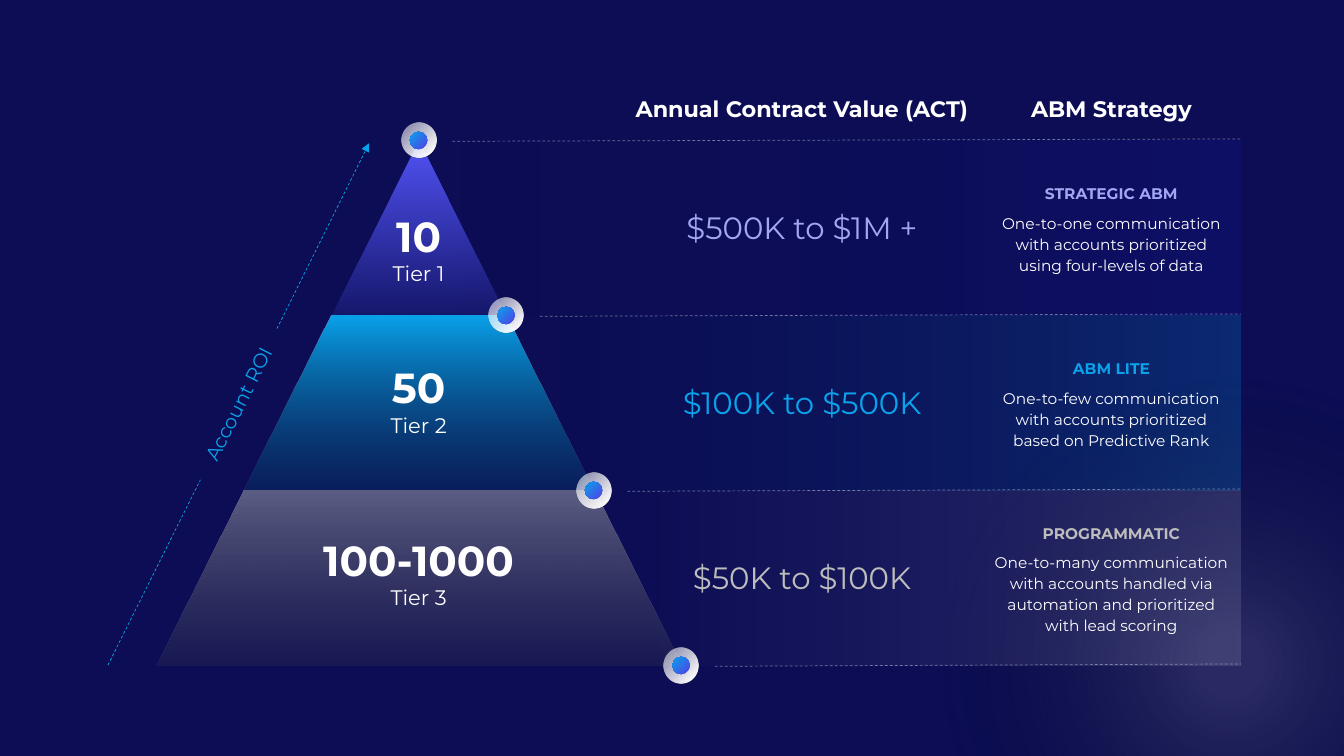
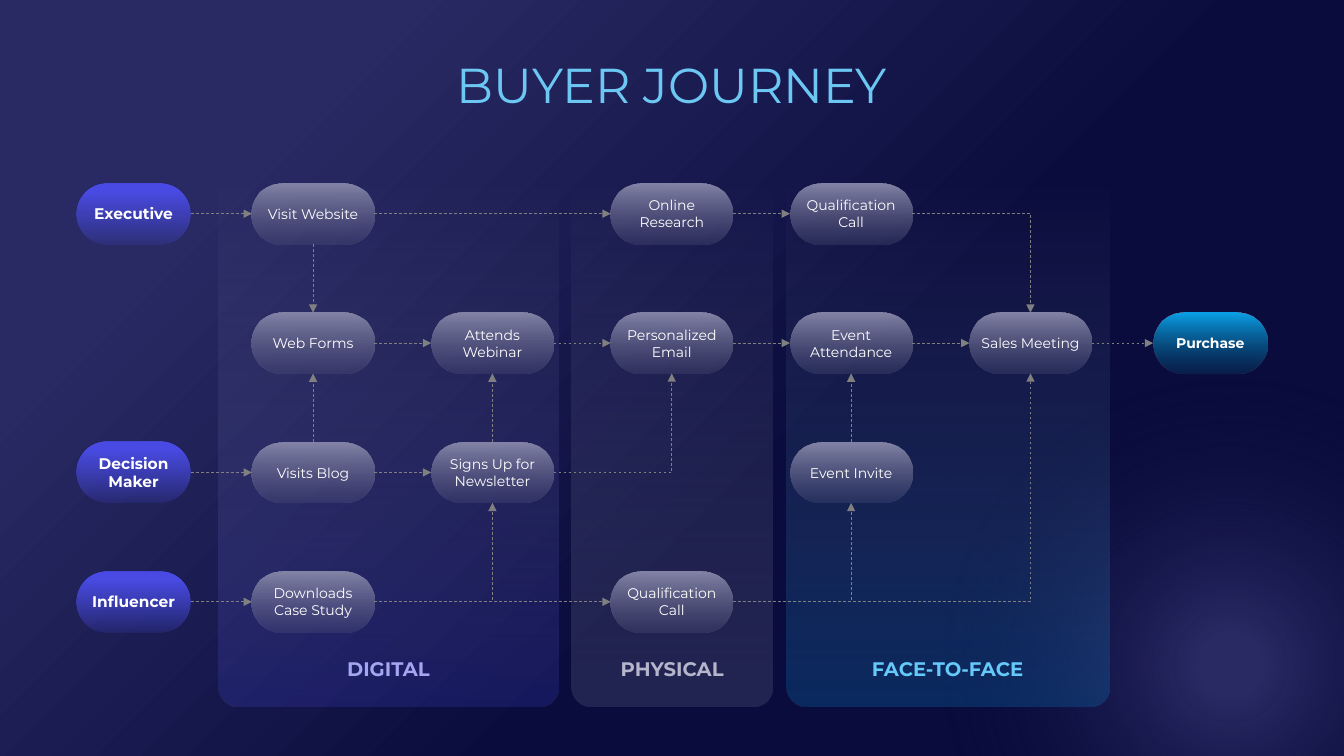
from lxml import etree
from pptx import Presentation
from pptx.dml.color import RGBColor
from pptx.enum.dml import MSO_LINE
from pptx.enum.shapes import MSO_CONNECTOR, MSO_SHAPE
from pptx.enum.text import MSO_ANCHOR, PP_ALIGN
from pptx.oxml.ns import qn
from pptx.util import Cm, Pt

STRAIGHT, ELBOW = MSO_CONNECTOR.STRAIGHT, MSO_CONNECTOR.ELBOW
OVAL, RECTANGLE, ROUNDED = MSO_SHAPE.OVAL, MSO_SHAPE.RECTANGLE, MSO_SHAPE.ROUNDED_RECTANGLE
DASH, CENTER = MSO_LINE.DASH, PP_ALIGN.CENTER
TOP, MIDDLE, BOTTOM = MSO_ANCHOR.TOP, MSO_ANCHOR.MIDDLE, MSO_ANCHOR.BOTTOM
NO_TABLE_STYLE = "{2D5ABB26-0587-4C30-8999-92F81FD0307C}"

# Shared colours
FONT = "Montserrat"
WHITE, NAVY, MIDNIGHT, INDIGO = "FFFFFF", "0C0D54", "0A0C3D", "292A63"
VIOLET, LILAC, SKY, PALE_SKY = "4A4CE5", "A4A6F2", "0AA3EB", "66CAF9"
SLATE, SILVER, GREY, PALE_GREY = "8485A8", "BDBDBD", "808080", "B5B6CB"
TITLE_BLUE, DIVIDER = "6CC8F3", "DBDBFA"

# Gradients: stops are (position, colour, opacity); direction is an angle or a focus
CORNER, MIDPOINT = (0, 0, 100, 100), (50, 50, 50, 50)
VIOLET_FADE = ([(0, VIOLET, 15), (88, VIOLET, 100)], 270)
SKY_FADE = ([(0, "055175", 25), (100, SKY, 100)], 270)
GREY_FADE = ([(0, "3E3F58", 25), (100, "5D5E84", 100)], 270)
STEP_FADE = ([(0, "5D5E84", 25), (100, SLATE, 100)], 270)
GLOW = ([(8, INDIGO, 100), (71, MIDNIGHT, 0)], MIDPOINT)
NIGHT = ([(19, INDIGO, 100), (60, MIDNIGHT, 100)], CORNER)
RING = ([(0, WHITE, 45), (88, WHITE, 100)], CORNER)
DOT = ([(0, SKY, 100), (88, VIOLET, 100)], CORNER)


def rgb(color):
    return RGBColor.from_string(color)


def add_node(parent, tag, **attributes):
    return etree.SubElement(parent, qn(tag), {k: str(v) for k, v in attributes.items()})


def set_gradient(owner, fill, gradient):
    """Give owner a solid fill, then swap it for the gradient."""
    stops, direction = gradient
    fill.solid()
    solid = next(owner.iter(qn("a:solidFill")))
    node = etree.Element(qn("a:gradFill"), rotWithShape="1")
    stop_list = add_node(node, "a:gsLst")
    for position, color, opacity in stops:
        stop = add_node(stop_list, "a:gs", pos=position * 1000)
        add_node(add_node(stop, "a:srgbClr", val=color), "a:alpha", val=opacity * 1000)
    if isinstance(direction, tuple):
        focus = {side: share * 1000 for side, share in zip("ltrb", direction)}
        add_node(add_node(node, "a:path", path="circle"), "a:fillToRect", **focus)
    else:
        add_node(node, "a:lin", ang=direction * 60000, scaled=0)
    solid.getparent().replace(solid, node)


class Slides:
    """The deck's style and its current page; lengths are in centimetres."""

    def __init__(self):
        self.deck = Presentation()
        self.deck.slide_width, self.deck.slide_height = Cm(33.87), Cm(19.05)
        self.page = None

    def new_page(self, color=None, gradient=None):
        self.page = self.deck.slides.add_slide(self.deck.slide_layouts[6])
        fill = self.page.background.fill
        if gradient:
            set_gradient(self.page.element, fill, gradient)
        else:
            fill.solid()
            fill.fore_color.rgb = rgb(color)
        self.shape(OVAL, 23.75, 9.53, 14.48, 14.43, GLOW)

    def finish(self, shape, gradient):
        shape.shadow.inherit = False
        shape.line.fill.background()
        set_gradient(shape.element.spPr, shape.fill, gradient)
        return shape

    def shape(self, kind, left, top, width, height, gradient, radius=None):
        box = self.page.shapes.add_shape(kind, Cm(left), Cm(top), Cm(width), Cm(height))
        if radius:
            box.adjustments[0] = radius / min(width, height)
        return self.finish(box, gradient)

    def polygon(self, points, gradient):
        corners = [(Cm(x), Cm(y)) for x, y in points]
        builder = self.page.shapes.build_freeform(*corners[0])
        builder.add_line_segments(corners[1:], close=True)
        return self.finish(builder.convert_to_shape(), gradient)

    def set_text(self, frame, lines, anchor=TOP, spacing=None, after=None):
        """Each line is (text, size, colour, bold)."""
        frame.word_wrap = True
        frame.vertical_anchor = anchor
        for index, (text, size, color, bold) in enumerate(lines):
            para = frame.add_paragraph() if index else frame.paragraphs[0]
            para.text, para.alignment = text, CENTER
            if spacing:
                para.line_spacing, para.space_after = Pt(spacing), Pt(after)
            para.font.name, para.font.size, para.font.bold = FONT, Pt(size), bold
            para.font.color.rgb = rgb(color)

    def text(self, left, top, width, height, lines, rotation=0):
        box = self.page.shapes.add_textbox(Cm(left), Cm(top), Cm(width), Cm(height))
        box.rotation = rotation
        self.set_text(box.text_frame, lines)

    def label(self, box, line, anchor, side, bottom):
        frame = box.text_frame
        frame.margin_left = frame.margin_right = Cm(side)
        frame.margin_top, frame.margin_bottom = Cm(0.13), Cm(bottom)
        self.set_text(frame, [line], anchor)

    def line(self, start, end, color, opacity=100, arrow=False, kind=STRAIGHT):
        points = [Cm(length) for length in (*start, *end)]
        connector = self.page.shapes.add_connector(kind, *points)
        connector.line.color.rgb = rgb(color)
        connector.line.width, connector.line.dash_style = Pt(0.5), DASH
        properties = connector.element.spPr
        if opacity < 100:
            add_node(next(properties.iter(qn("a:srgbClr"))), "a:alpha", val=opacity * 1000)
        if arrow:
            add_node(properties.find(qn("a:ln")), "a:tailEnd", type="triangle")
        add_node(properties, "a:effectLst")
        return connector

    def link(self, source, target, sides):
        """Join two shapes with an arrow that has at most one corner."""
        turns = sides in (TURN_DOWN, TURN_UP)
        connector = self.line((0, 0), (1, 1), GREY, arrow=True, kind=ELBOW if turns else STRAIGHT)
        if turns:
            connector.element.spPr.find(qn("a:prstGeom")).set("prst", "bentConnector2")
        connector.begin_connect(source, sides[0])
        connector.end_connect(target, sides[1])

    def table(self, left, top, widths, heights):
        frame = self.page.shapes.add_table(len(heights), len(widths), Cm(left), Cm(top),
                                           Cm(sum(widths)), Cm(sum(heights)))
        next(frame.element.iter(qn("a:tableStyleId"))).text = NO_TABLE_STYLE
        table = frame.table
        table.first_row = table.horz_banding = False
        for column, width in zip(table.columns, widths):
            column.width = Cm(width)
        for row, height in zip(table.rows, heights):
            row.height = Cm(height)
        return table

    def cell(self, cell, lines, **spacing):
        cell.fill.background()
        cell.vertical_anchor = MIDDLE
        self.set_text(cell.text_frame, lines, MIDDLE, **spacing)


# Pyramid: every tier is TIER high and widens by half of that on each side
APEX_X, APEX_Y, TIER = 10.55, 3.54, 4.41
BAND_LEFT, BAND_RIGHT = 11.4, 31.27
# Count, label top, pyramid fill, band stops, text colour, value, strategy, details
TIERS = [
    ("10", 5.18, VIOLET_FADE, [(0, NAVY, 0), (100, "111378", 50)], LILAC,
     "$500K to $1M +", "STRATEGIC ABM",
     "One-to-one communication with accounts prioritized using four-levels of data"),
    ("50", 8.99, SKY_FADE, [(0, "055175", 0), (100, SKY, 20)], SKY,
     "$100K to $500K", "ABM LITE",
     "One-to-few communication with accounts prioritized based on Predictive Rank"),
    ("100-1000", 13.34, GREY_FADE, [(0, SLATE, 0), (100, SLATE, 25)], SILVER,
     "$50K to $100K", "PROGRAMMATIC",
     "One-to-many communication with accounts handled via automation and prioritized "
     "with lead scoring"),
]


def build_pyramid(slides):
    slides.new_page(color=NAVY)
    half = TIER / 2

    # Bands behind the table
    for index, tier in enumerate(TIERS):
        left = BAND_LEFT + half * index
        slides.shape(RECTANGLE, left, APEX_Y + TIER * index, BAND_RIGHT - left, TIER, (tier[3], 0))

    # Values and strategies
    table = slides.table(15.65, 1.96, [9.12, 6.48], [1.6] + [TIER] * 3)
    for column, heading in enumerate(["Annual Contract Value (ACT)", "ABM Strategy"]):
        slides.cell(table.cell(0, column), [(heading, 16, WHITE, True)])
    for row, (*_, color, value, strategy, details) in enumerate(TIERS, 1):
        slides.cell(table.cell(row, 0), [(value, 22, color, False)])
        slides.cell(table.cell(row, 1),
                    [(strategy, 11, color, True), (details, 11, WHITE, False)],
                    spacing=15, after=6)

    # Pyramid tiers
    for index, (count, label_top, fade, *_) in enumerate(TIERS):
        top, inner, outer = APEX_Y + TIER * index, half * index, half * (index + 1)
        slides.polygon([(APEX_X - inner, top), (APEX_X + inner, top),
                        (APEX_X + outer, top + TIER), (APEX_X - outer, top + TIER)], fade)
        slides.text(APEX_X - 3.39, label_top, 6.78, 2.18,
                    [(count, 30, WHITE, True), (f"Tier {index + 1}", 15, WHITE, False)])

    # Markers and dividers
    for index in range(len(TIERS) + 1):
        x, y = APEX_X + half * index, APEX_Y + TIER * index
        for size, gradient in ((0.88, RING), (0.44, DOT)):
            slides.shape(OVAL, x - size / 2, y - size / 2, size, size, gradient)
        slides.line((BAND_LEFT + half * index, y + 0.02), (BAND_RIGHT, y - 0.04), DIVIDER, 50)

    # Return arrow along the left edge
    slides.line((2.72, 16.76), (5.05, 12.09), SKY)
    slides.text(3.86, 9.75, 4.29, 0.86, [("Account ROI", 14, SKY, False)], rotation=296.7)
    slides.line((6.98, 8.28), (9.3, 3.61), SKY, arrow=True)


# Journey grid: roles, five columns of steps, purchase
COLUMN_LEFTS = [1.93] + [6.35 + 4.52 * step for step in range(5)] + [29.06]
ROW_TOP, ROW_PITCH, PILL_HEIGHT = 4.62, 3.26, 1.53
ROLE, STEP, GOAL = (2.88, VIOLET_FADE, 11, True), (3.08, STEP_FADE, 10, False), (2.88, SKY_FADE, 10, True)
COLUMN_STYLES = [ROLE] + [STEP] * 5 + [GOAL]

# Left, width, end colour, label, label colour
PANELS = [
    (5.51, 8.56, VIOLET, "DIGITAL", LILAC),
    (14.4, 5.08, SLATE, "PHYSICAL", PALE_GREY),
    (19.81, 8.15, SKY, "FACE-TO-FACE", PALE_SKY),
]
# Name: column, row, label
PILLS = {
    "executive": (0, 0, "Executive"),
    "decider": (0, 2, "Decision Maker"),
    "influencer": (0, 3, "Influencer"),
    "website": (1, 0, "Visit Website"),
    "forms": (1, 1, "Web Forms"),
    "blog": (1, 2, "Visits Blog"),
    "case study": (1, 3, "Downloads Case Study"),
    "webinar": (2, 1, "Attends Webinar"),
    "newsletter": (2, 2, "Signs Up for Newsletter"),
    "research": (3, 0, "Online Research"),
    "email": (3, 1, "Personalized Email"),
    "physical call": (3, 3, "Qualification Call"),
    "personal call": (4, 0, "Qualification Call"),
    "event": (4, 1, "Event Attendance"),
    "invite": (4, 2, "Event Invite"),
    "meeting": (5, 1, "Sales Meeting"),
    "purchase": (6, 1, "Purchase"),
}
# Connection sites of a pill: 0 top, 1 left, 2 bottom, 3 right
ACROSS, DOWN, UP, TURN_DOWN, TURN_UP = (3, 1), (2, 0), (0, 2), (3, 0), (3, 2)
LINKS = {
    ACROSS: [("executive", "website"), ("website", "research"), ("research", "personal call"),
             ("forms", "webinar"), ("webinar", "email"), ("email", "event"),
             ("event", "meeting"), ("meeting", "purchase"), ("decider", "blog"),
             ("blog", "newsletter"), ("influencer", "case study"),
             ("case study", "physical call")],
    DOWN: [("website", "forms")],
    UP: [("blog", "forms"), ("newsletter", "webinar"), ("invite", "event")],
    TURN_DOWN: [("personal call", "meeting")],
    TURN_UP: [("case study", "newsletter"), ("newsletter", "email"),
              ("physical call", "invite"), ("physical call", "meeting")],
}


def build_journey(slides):
    slides.new_page(gradient=NIGHT)

    # Channel panels and title
    for left, width, color, name, name_color in PANELS:
        fade = ([(0, WHITE, 0), (100, color, 20)], 90)
        panel = slides.shape(ROUNDED, left, 4.09, width, 13.72, fade, radius=0.5)
        slides.label(panel, (name, 14, name_color, True), BOTTOM, 0.25, 0.51)
    slides.text(8, 1.24, 17.87, 1.75, [("BUYER JOURNEY", 35, TITLE_BLUE, False)])

    # Roles, steps and purchase
    pills = {}
    for name, (column, row, label) in PILLS.items():
        width, fade, size, bold = COLUMN_STYLES[column]
        pill = slides.shape(ROUNDED, COLUMN_LEFTS[column], ROW_TOP + ROW_PITCH * row,
                            width, PILL_HEIGHT, fade, radius=PILL_HEIGHT / 2)
        slides.label(pill, (label, size, WHITE, bold), MIDDLE, 0, 0.13)
        pills[name] = pill

    # Arrows
    for sides, pairs in LINKS.items():
        for source, target in pairs:
            slides.link(pills[source], pills[target], sides)


def main():
    slides = Slides()
    build_pyramid(slides)
    build_journey(slides)
    slides.deck.save("out.pptx")


if __name__ == "__main__":
    main()
